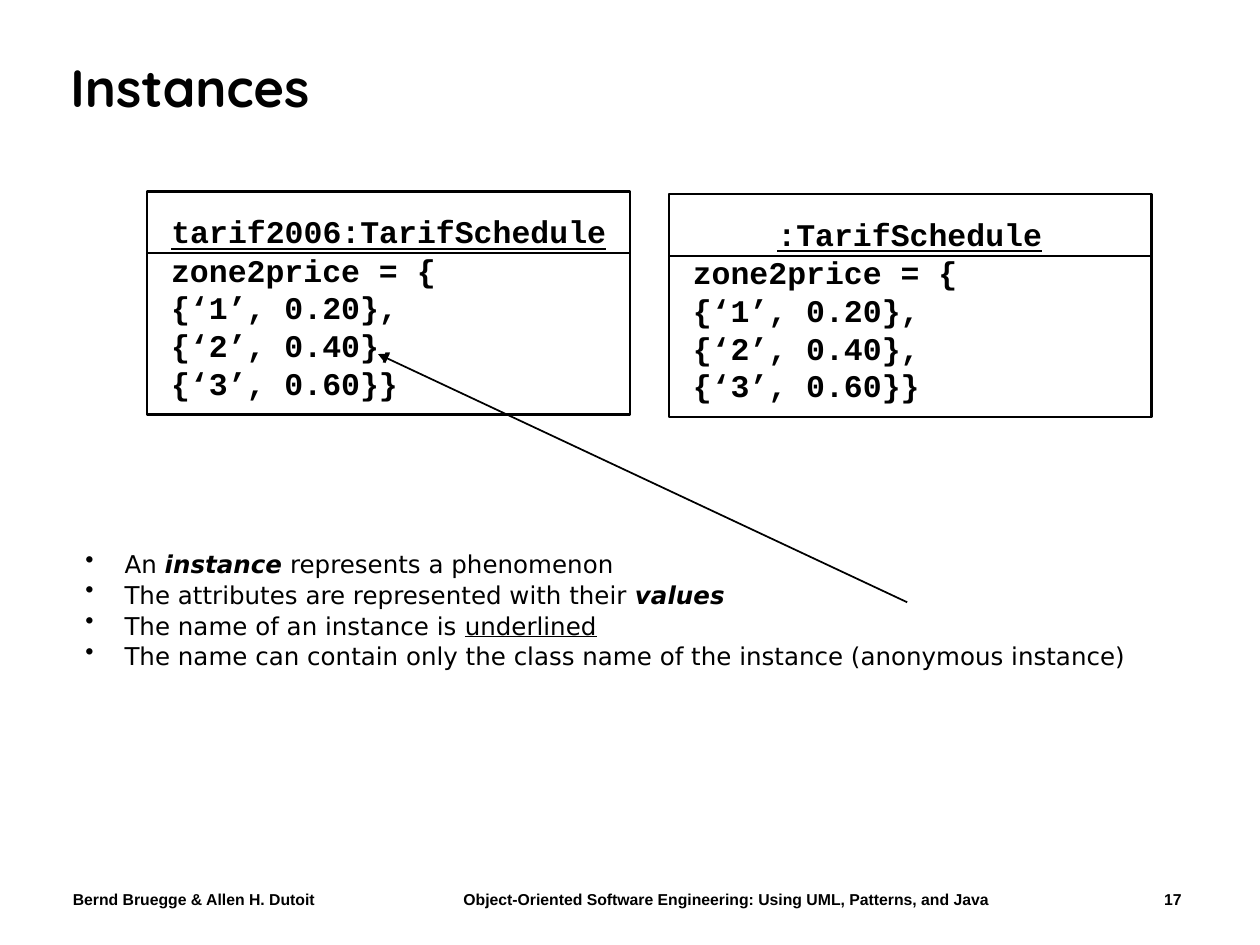
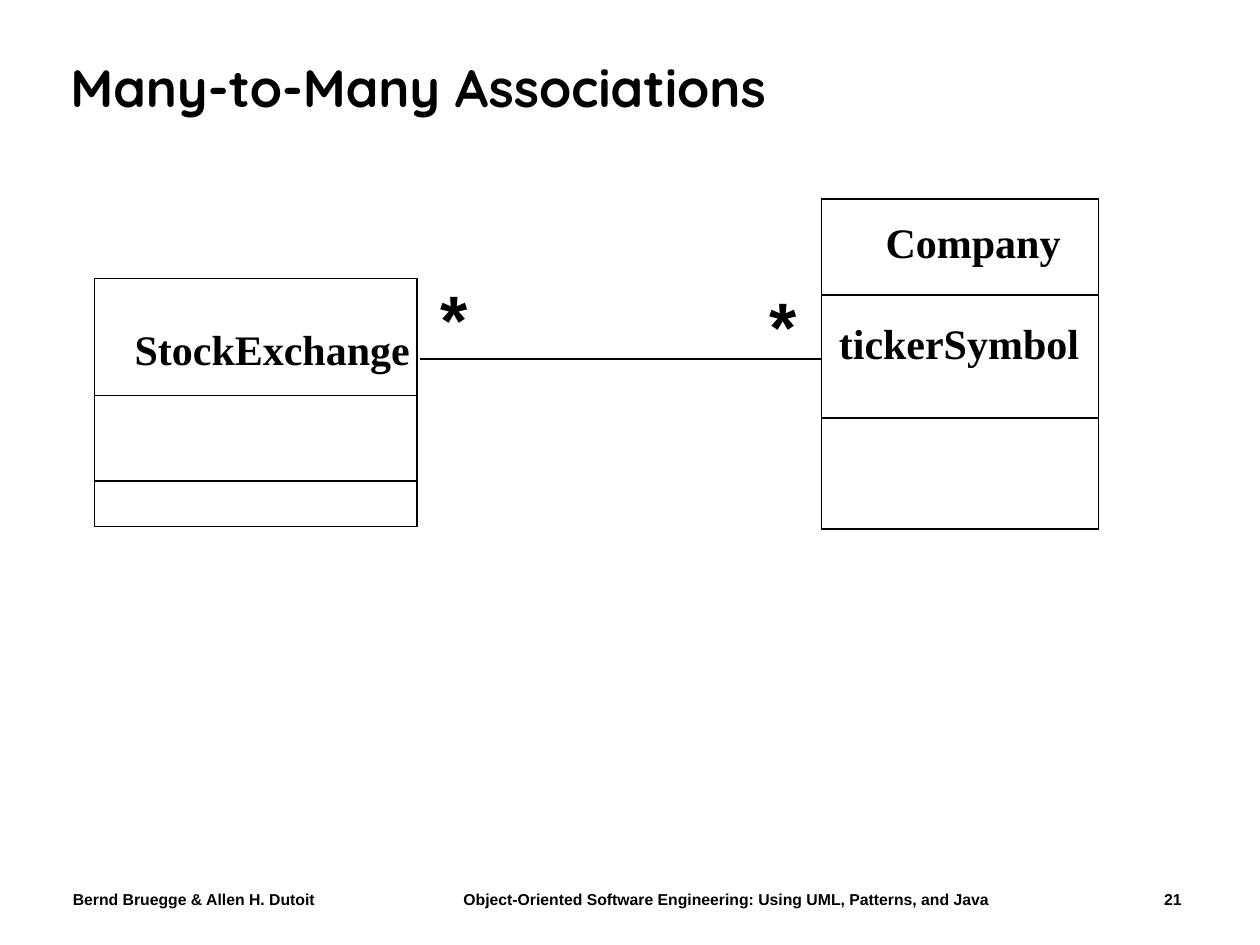
from dataclasses import dataclass
from typing import Any, NamedTuple

from lxml import etree
from pptx import Presentation
from pptx import util as u
from pptx.dml.color import RGBColor
from pptx.enum import shapes, text
from pptx.oxml import ns

COLS = 100
WIDE, HIGH = u.Inches(10), u.Inches(7.5)
CELL = WIDE // COLS
INK = "000000"


class Box(NamedTuple):
    x: float
    y: float
    w: float
    h: float


class Style(NamedTuple):
    face: str
    size: float
    bold: bool = True
    line: bool = False


@dataclass
class Label:
    words: list[str]
    box: Box
    style: Style
    wrap: bool = False
    inset: bool = True
    align: Any = text.PP_ALIGN.LEFT


@dataclass
class Object:
    name: str
    x: float
    y: float
    name_x: float
    name_w: float


@dataclass
class Frame:
    box: Box
    cuts: list[float]


TITLE = Style("Quicksand", 30)
FOOT = Style("Arial", 9)
CODE = Style("Courier New", 18)
HEAD = Style("Courier New", 18, line=True)
BODY = Style("DejaVu Sans", 14, bold=False)
NAME = Style("Times New Roman", 24)
STAR = Style("Arial", 40)

AUTHORS = "Bernd Bruegge & Allen H. Dutoit"
BOOK = "Object-Oriented Software Engineering: Using UML, Patterns, and Java"
TABS = [("l", 31), ("r", 88)]

PRICES = ["zone2price = {", "{‘1’, 0.20},", "{‘2’, 0.40},", "{‘3’, 0.60}}"]
OBJECTS = [
    Object("tarif2006:TarifSchedule", 11.7, 15.2, 1.4, 35.5),
    Object(":TarifSchedule", 53.1, 15.4, 8.1, 22),
]
POINTS = [
    [("An ", ""), ("instance", "bi"), (" represents a phenomenon", "")],
    [("The attributes are represented with their ", ""), ("values", "bi")],
    [("The name of an instance is ", ""), ("underlined", "u")],
    [("The name can contain only the class name of the instance (anonymous instance)", "")],
]
FRAMES = [
    Frame(Box(7.5, 22.1, 25.6, 19.7), [31.4, 38.2]),
    Frame(Box(65.2, 15.8, 22, 26.2), [23.4, 33.2]),
]
LABELS = [
    Label(["StockExchange"], Box(9.7, 25.2, 26, 5), NAME),
    Label(["Company"], Box(69.3, 16.7, 18, 5), NAME),
    Label(["tickerSymbol"], Box(65.6, 24.7, 23, 5), NAME),
    Label(["*"], Box(60.1, 21.9, 5, 7.6), STAR),
    Label(["*"], Box(34, 21.4, 5, 7.6), STAR),
]


def unit(num: float) -> int:
    return round(num * CELL)


def color(code: str) -> RGBColor:
    return RGBColor.from_string(code)


def place(box: Box) -> list[int]:
    return [unit(num) for num in box]


def add_tag(host: Any, tag: str, **attrs: str) -> Any:
    return etree.SubElement(host, ns.qn(tag), attrs)


def set_font(para: Any, style: Style) -> None:
    font = para.font
    font.name, font.size = style.face, u.Pt(style.size)
    font.bold, font.underline = style.bold, style.line
    font.color.rgb = color(INK)


def add_text(host: Any, label: Label) -> Any:
    shape = host.add_textbox(*place(label.box))
    frame = shape.text_frame
    frame.word_wrap = label.wrap
    if not label.inset:
        frame.margin_left = frame.margin_right = 0
        frame.margin_top = frame.margin_bottom = 0
    frame.text = "\n".join(label.words)
    for para in frame.paragraphs:
        para.alignment = label.align
        set_font(para, label.style)
    return frame


def add_rect(host: Any, box: Box, width: float) -> None:
    shape = host.add_shape(shapes.MSO_SHAPE.RECTANGLE, *place(box))
    shape.shadow.inherit = False
    shape.fill.background()
    shape.line.color.rgb = color(INK)
    shape.line.width = u.Pt(width)


def add_line(host: Any, x: float, y: float, to_x: float, to_y: float, arrow: bool = False) -> None:
    ends = [unit(num) for num in (x, y, to_x, to_y)]
    line = host.add_connector(shapes.MSO_CONNECTOR.STRAIGHT, *ends)
    line.line.color.rgb = color(INK)
    line.line.width = u.Pt(1)
    if arrow:
        add_tag(line.line._get_or_add_ln(), "a:tailEnd", type="triangle")
    add_tag(line._element.spPr, "a:effectLst")


def add_page(deck: Any, title: str, num: int) -> Any:
    host = deck.slides.add_slide(deck.slide_layouts[6]).shapes
    head = add_text(host, Label([title], Box(4.6, 2.5, 89.2, 9.4), TITLE, wrap=True))
    head.vertical_anchor = text.MSO_ANCHOR.MIDDLE
    head.paragraphs[0].line_spacing = 0.9
    frame = add_text(host, Label([""], Box(4.8, 70.1, 91, 2.5), FOOT, wrap=True))
    para = frame.paragraphs[0]
    para.text = f"{AUTHORS}\t{BOOK}\t{num}"
    stops = etree.Element(ns.qn("a:tabLst"))
    for side, pos in TABS:
        add_tag(stops, "a:tab", pos=str(unit(pos)), algn=side)
    para._p.get_or_add_pPr().insert(0, stops)
    return host


def add_object(host: Any, item: Object) -> None:
    group = host.add_group_shape().shapes
    x, y = item.x, item.y
    add_text(group, Label(PRICES, Box(x + 0.9, y + 4.2, 38, 13), CODE, wrap=True))
    add_rect(group, Box(x, y, 38.3, 4.9), 1.25)
    spot = Box(x + item.name_x, y + 1.65, item.name_w, 3)
    add_text(group, Label([item.name], spot, HEAD, inset=False, align=text.PP_ALIGN.CENTER))
    add_rect(group, Box(x, y + 4.9, 38.3, 12.8), 1.25)


def add_points(host: Any) -> None:
    frame = host.add_textbox(*place(Box(5.8, 43.9, 87.5, 10.8))).text_frame
    frame.word_wrap = True
    for row, parts in enumerate(POINTS):
        para = frame.add_paragraph() if row else frame.paragraphs[0]
        props = para._p.get_or_add_pPr()
        props.set("marL", str(unit(3.1)))
        props.set("indent", str(unit(-3.1)))
        add_tag(add_tag(props, "a:buClr"), "a:srgbClr", val=INK)
        add_tag(props, "a:buChar", char="•")
        para.line_spacing = 0.6
        if row:
            para.space_before = u.Pt(7.5)
        set_font(para, BODY)
        for words, marks in parts:
            run = para.add_run()
            run.text = words
            if "b" in marks:
                run.font.bold = run.font.italic = True
            if "u" in marks:
                run.font.underline = True


def add_frame(host: Any, item: Frame) -> None:
    add_rect(host, item.box, 1)
    for y in item.cuts:
        add_line(host, item.box.x, y, item.box.x + item.box.w, y)


def main() -> None:
    deck = Presentation()
    deck.slide_width, deck.slide_height = WIDE, HIGH

    host = add_page(deck, "Instances", 17)
    add_points(host)
    for item in OBJECTS:
        add_object(host, item)
    add_line(host, 72, 47.8, 30, 28.1, arrow=True)

    host = add_page(deck, "Many-to-Many Associations", 21)
    for frame in FRAMES:
        add_frame(host, frame)
    add_line(host, 33.3, 28.5, 65.2, 28.5)
    for label in LABELS:
        add_text(host, label)

    deck.save("out.pptx")


if __name__ == "__main__":
    main()
